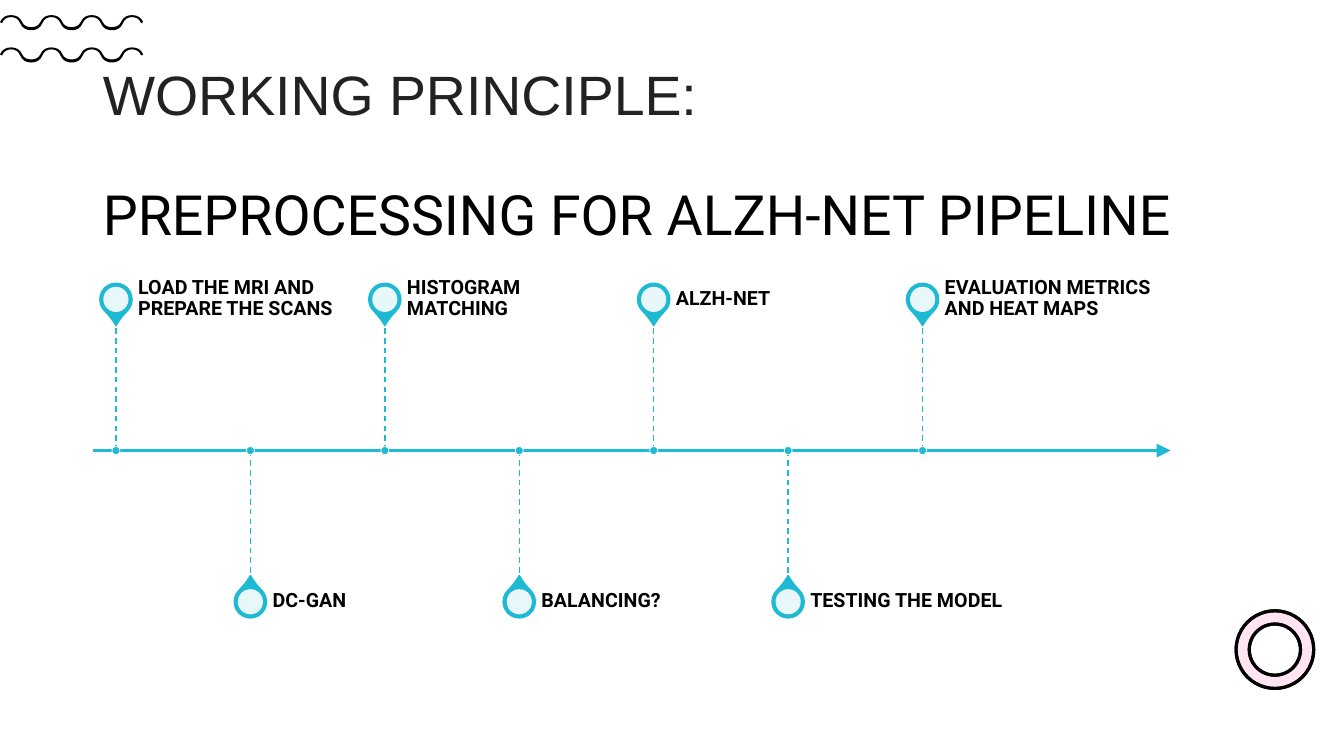
from lxml.etree import SubElement
from pptx import Presentation
from pptx.dml.color import RGBColor
from pptx.enum.dml import MSO_LINE
from pptx.enum.shapes import MSO_CONNECTOR, MSO_SHAPE
from pptx.enum.text import MSO_ANCHOR, MSO_AUTO_SIZE, PP_ALIGN
from pptx.oxml.ns import qn
from pptx.util import Inches, Pt

TEAL = "1EB9D3"
AXIS_Y = 4.47
FIRST_X, STEP = 1.15, 4 / 3
PIN_RISE, STEM = 1.5, 1.28

STEPS = [
    "LOAD THE MRI AND PREPARE THE SCANS",
    "DC-GAN",
    "HISTOGRAM MATCHING",
    "BALANCING?",
    "ALZH-NET",
    "TESTING THE MODEL",
    "EVALUATION METRICS AND HEAT MAPS",
]


def paint(shape, fill, line=None, weight=1, opacity=100):
    """Fill and outline a shape, with opacity in percent."""
    shape.shadow.inherit = False
    shape.fill.solid()
    shape.fill.fore_color.rgb = RGBColor.from_string(fill)
    if opacity < 100:
        color = shape.fill._xPr.find(qn("a:solidFill"))[0]
        SubElement(color, qn("a:alpha"), val=str(opacity * 1000))
    if line:
        shape.line.color.rgb = RGBColor.from_string(line)
        shape.line.width = Pt(weight)
    else:
        shape.line.fill.background()


def write(para, text, font="Roboto", size=14, color="000000", bold=False):
    para.line_spacing = 0.9
    para.alignment = PP_ALIGN.LEFT
    span = para.add_run()
    span.text = text
    span.font.name = font
    span.font.size = Pt(size)
    span.font.bold = bold
    span.font.color.rgb = RGBColor.from_string(color)


deck = Presentation()
deck.slide_width, deck.slide_height = Inches(13.33), Inches(7.5)
page = deck.slides.add_slide(deck.slide_layouts[5])
shapes = page.shapes

# White backdrop, behind the title
backdrop = shapes.add_shape(MSO_SHAPE.RECTANGLE, 0, 0, deck.slide_width, deck.slide_height)
paint(backdrop, "FFFFFF")
title = shapes.title
title._element.addprevious(backdrop._element)

# Title
title.left, title.top = Inches(0.92), Inches(0.95)
title.width, title.height = Inches(11.5), Inches(1.23)
frame = title.text_frame
frame.word_wrap = True
frame.auto_size = MSO_AUTO_SIZE.NONE
frame.vertical_anchor = MSO_ANCHOR.MIDDLE
write(frame.paragraphs[0], "WORKING PRINCIPLE:", font="Arial", size=39.6, color="222222")
subtitle = frame.add_paragraph()
write(subtitle, "PREPROCESSING FOR ALZH-NET PIPELINE", size=39.6)
subtitle.space_before = Pt(43)

# Wavy ribbons in the corner: each edge is seven half-waves of two curves
for ribbon_top in (0.47, 0.15):
    edges = []
    for joint, crest, trough, crest_half, trough_half in (
        (0.07, 0, 0.12, 0.11, 0.09),
        (0.08, 0.02, 0.15, 0.09, 0.11),
    ):
        center = 0.11
        edge = [(center - crest_half, joint)]
        for i in range(7):
            half, peak = (trough_half, trough) if i % 2 else (crest_half, crest)
            bend = joint + 0.7 * (peak - joint)
            edge += [
                (center - 0.82 * half, bend), (center - 0.45 * half, peak), (center, peak),
                (center + 0.45 * half, peak), (center + 0.82 * half, bend),
                (center + half, joint),
            ]
            center += 0.2
        edges.append(edge)
    outline = [(Inches(x), Inches(ribbon_top + y)) for x, y in edges[0] + edges[1][::-1]]
    builder = shapes.build_freeform(*outline[0])
    builder.add_line_segments(outline[1:], close=True)
    ribbon = builder.convert_to_shape()
    segments = list(ribbon._element.iter(qn("a:lnTo")))
    edge_length = len(edges[0]) - 1
    for first in (0, edge_length + 1):
        for i in range(first, first + edge_length, 3):
            curve = SubElement(segments[i].getparent(), qn("a:cubicBezTo"))
            segments[i].addprevious(curve)
            for segment in segments[i:i + 3]:
                curve.append(segment[0])
                segment.getparent().remove(segment)
    paint(ribbon, "000000")

# Ring, tinted over white
for fill, opacity in (("FFFFFF", 100), ("FF80BD", 20)):
    ring = shapes.add_shape(
        MSO_SHAPE.DONUT, Inches(12.26), Inches(6.06), Inches(0.77), Inches(0.77))
    ring.adjustments[0] = 0.17
    paint(ring, fill, line="000000", weight=2.25, opacity=opacity)

# Timeline: the axis, then a dashed stem for each step
centers = [FIRST_X + i * STEP for i in range(len(STEPS))]
sides = [1 if i % 2 else -1 for i in range(len(STEPS))]
lines = [(0.92, AXIS_Y, 11.61, AXIS_Y)]
lines += [(x, AXIS_Y, x, AXIS_Y + side * STEM) for x, side in zip(centers, sides)]
for i, ends in enumerate(lines):
    connector = shapes.add_connector(MSO_CONNECTOR.STRAIGHT, *map(Inches, ends))
    connector.line.color.rgb = RGBColor.from_string(TEAL)
    connector.line.width = Pt(1 if i else 1.5)
    if i:
        connector.line.dash_style = MSO_LINE.DASH
    else:
        SubElement(connector.line._get_or_add_ln(), qn("a:tailEnd"),
                   type="triangle", w="lg", len="lg")
    SubElement(connector._element.spPr, qn("a:effectLst"))

# Pin, dot and label of each step
for x, side, label in zip(centers, sides, STEPS):
    pin_y = AXIS_Y + side * PIN_RISE
    for kind, y, size, fill, line, weight, opacity in (
        (MSO_SHAPE.TEAR, pin_y, 0.32, TEAL, TEAL, 1, 100),
        (MSO_SHAPE.OVAL, pin_y, 0.25, "FFFFFF", None, 0, 90),
        (MSO_SHAPE.OVAL, AXIS_Y, 0.08, TEAL, "FFFFFF", 0.5, 100),
    ):
        mark = shapes.add_shape(
            kind, Inches(x - size / 2), Inches(y - size / 2), Inches(size), Inches(size))
        paint(mark, fill, line=line, weight=weight, opacity=opacity)
        if kind == MSO_SHAPE.TEAR:
            mark.adjustments[0] = 1.15
            mark.rotation = 225 + side * 90

    box = shapes.add_textbox(
        Inches(x + 0.22), Inches(pin_y - 0.23), Inches(2.22), Inches(0.45))
    frame = box.text_frame
    frame.word_wrap = True
    frame.vertical_anchor = MSO_ANCHOR.MIDDLE
    frame.margin_left = frame.margin_top = frame.margin_bottom = 0
    write(frame.paragraphs[0], label, bold=True)

deck.save("out.pptx")
